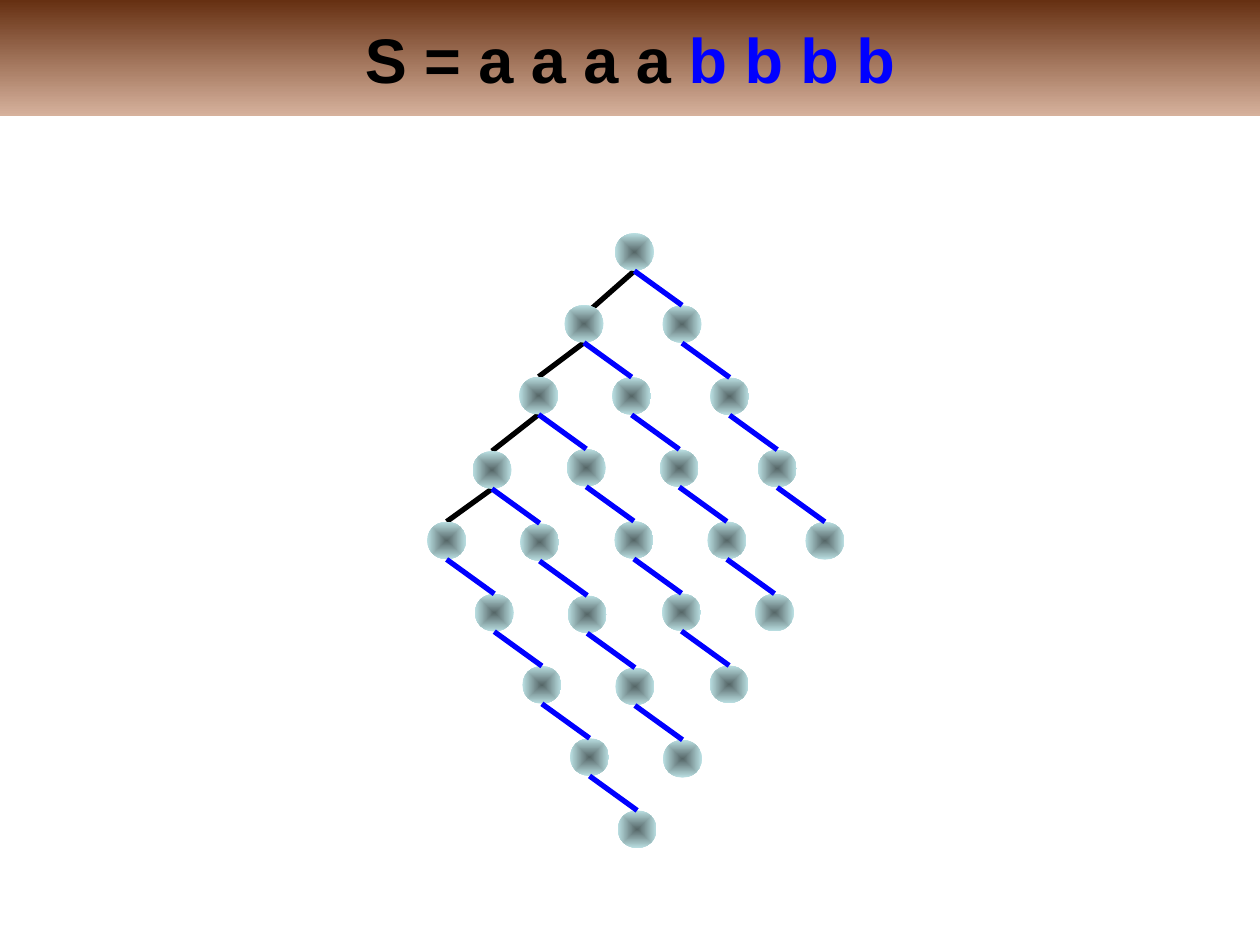
from lxml import etree
from pptx import Presentation
from pptx.dml.color import RGBColor
from pptx.enum import shapes, text
from pptx.oxml import ns
from pptx.util import Inches, Pt

BLACK = RGBColor(0x00, 0x00, 0x00)
BLUE = RGBColor(0x00, 0x00, 0xFF)
BROWN = RGBColor(0x66, 0x30, 0x12)
SAND = RGBColor(0xD6, 0xB1, 0x9C)
SLATE = RGBColor(0x56, 0x67, 0x68)
AQUA = RGBColor(0xBB, 0xE0, 0xE3)

NODE_WIDTH, NODE_HEIGHT = 0.31, 0.3
B_STEP = (0.378, 0.573)
# Top-left corner of the node reached after each "a", relative to the tree.
A_NODES = [(1.49, 0), (1.09, 0.57), (0.73, 1.14), (0.36, 1.73), (0, 2.29)]
B_COUNT = 4


def fill_gradient(shape, start, end):
    """Fill with a gradient running from start at the top to end."""
    shape.fill.gradient()
    shape.fill.gradient_angle = 270
    for stop, color, position in zip(shape.fill.gradient_stops, (start, end), (0, 1)):
        stop.color.rgb = color
        stop.position = position


def make_gradient_central(shape):
    """Let the gradient run from the centre of the shape to its edges."""
    linear = shape._element.spPr.find(".//" + ns.qn("a:lin"))
    route = etree.Element(ns.qn("a:path"), path="rect")
    etree.SubElement(route, ns.qn("a:fillToRect"),
                     {side: "50000" for side in "ltrb"})
    linear.getparent().replace(linear, route)


def add_title(page, left, top, width, height):
    title = page.shapes.title
    box = {"left": left, "top": top, "width": width, "height": height}
    for name, length in box.items():
        setattr(title, name, Inches(length))
    fill_gradient(title, BROWN, SAND)
    frame = title.text_frame
    layout = {"vertical_anchor": text.MSO_ANCHOR.MIDDLE, "word_wrap": True,
              "auto_size": text.MSO_AUTO_SIZE.NONE,
              "margin_left": Inches(0.1), "margin_right": Inches(0.1),
              "margin_top": Inches(0.05), "margin_bottom": Inches(0.05)}
    for name, value in layout.items():
        setattr(frame, name, value)
    para = frame.paragraphs[0]
    para.alignment = text.PP_ALIGN.CENTER
    for words, color in (("S = a a a a ", BLACK), ("b b b b", BLUE)):
        span = para.add_run()
        span.text = words
        for name, value in {"name": "Arial", "size": Pt(36), "bold": True}.items():
            setattr(span.font, name, value)
        span.font.color.rgb = color


def add_node(page, left, top):
    node = page.shapes.add_shape(
        shapes.MSO_SHAPE.OVAL, Inches(left), Inches(top),
        Inches(NODE_WIDTH), Inches(NODE_HEIGHT))
    node.shadow.inherit = False
    node.line.fill.background()
    fill_gradient(node, SLATE, AQUA)
    make_gradient_central(node)


def add_link(page, parent, child, color):
    """Join the bottom of the parent node to the top of the child node."""
    middle = NODE_WIDTH / 2
    link = page.shapes.add_connector(
        shapes.MSO_CONNECTOR.STRAIGHT,
        Inches(parent[0] + middle), Inches(parent[1] + NODE_HEIGHT),
        Inches(child[0] + middle), Inches(child[1]))
    link.line.color.rgb = color
    link.line.width = Pt(3)
    etree.SubElement(link._element.spPr, ns.qn("a:effectLst"))


def add_tree(page, left, top):
    """Draw the run of a's down the left side and a run of b's from each node."""
    starts = [(left + x, top + y) for x, y in A_NODES]
    runs = [[(x + B_STEP[0] * i, y + B_STEP[1] * i) for i in range(B_COUNT + 1)]
            for x, y in starts]
    for parent, child in zip(starts, starts[1:]):
        # The first link meets its node on the upper right edge.
        shift = (0.06, 0.03) if parent == starts[0] else (0, 0)
        add_link(page, parent, (child[0] + shift[0], child[1] + shift[1]), BLACK)
    for run in runs:
        for node in run:
            add_node(page, *node)
        for parent, child in zip(run, run[1:]):
            add_link(page, parent, child, BLUE)


def main():
    deck = Presentation()
    deck.slide_width, deck.slide_height = Inches(10), Inches(7.5)
    page = deck.slides.add_slide(deck.slide_layouts[5])
    add_title(page, 0, 0, 10, 0.92)
    add_tree(page, 3.39, 1.85)
    deck.save("out.pptx")


if __name__ == "__main__":
    main()
